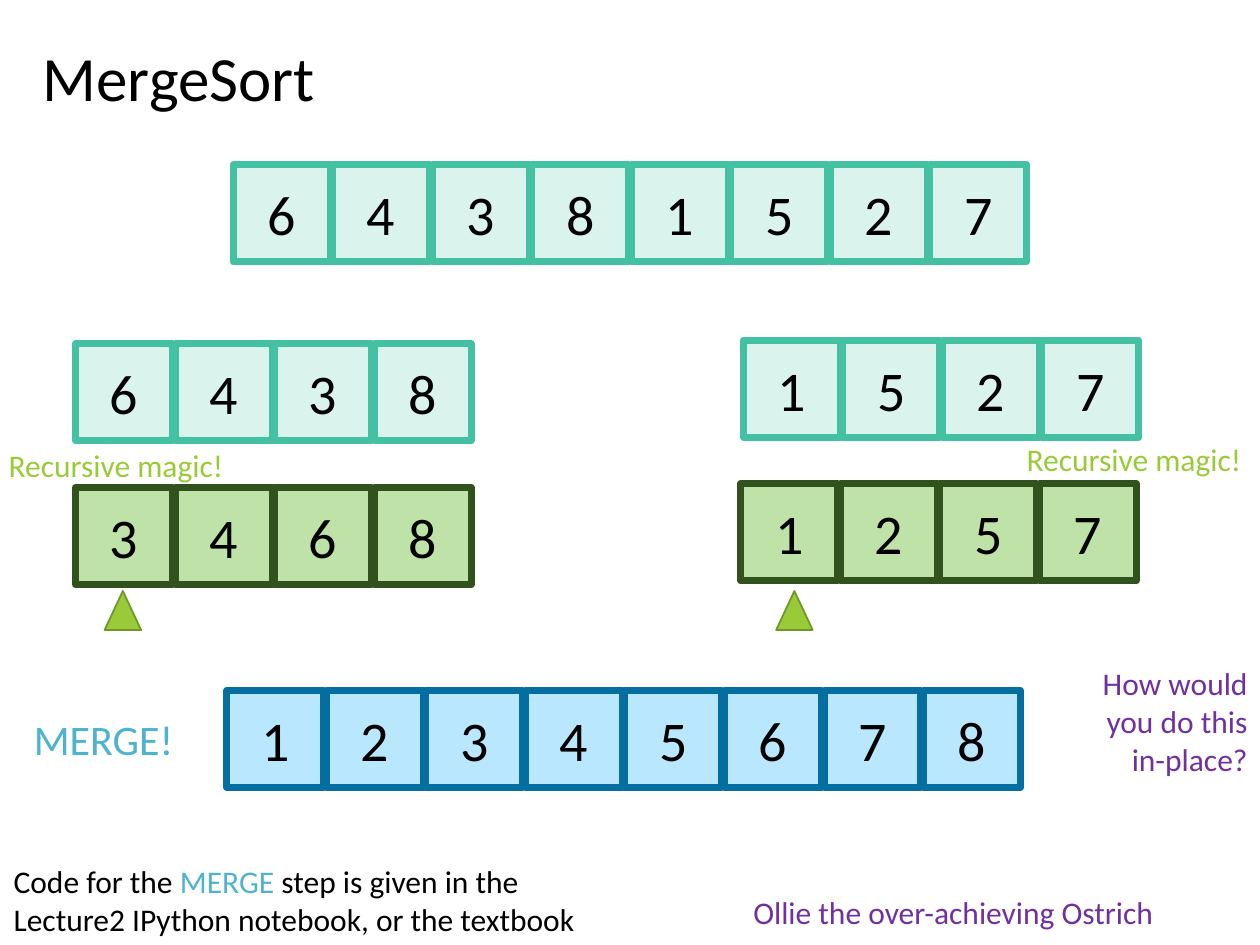
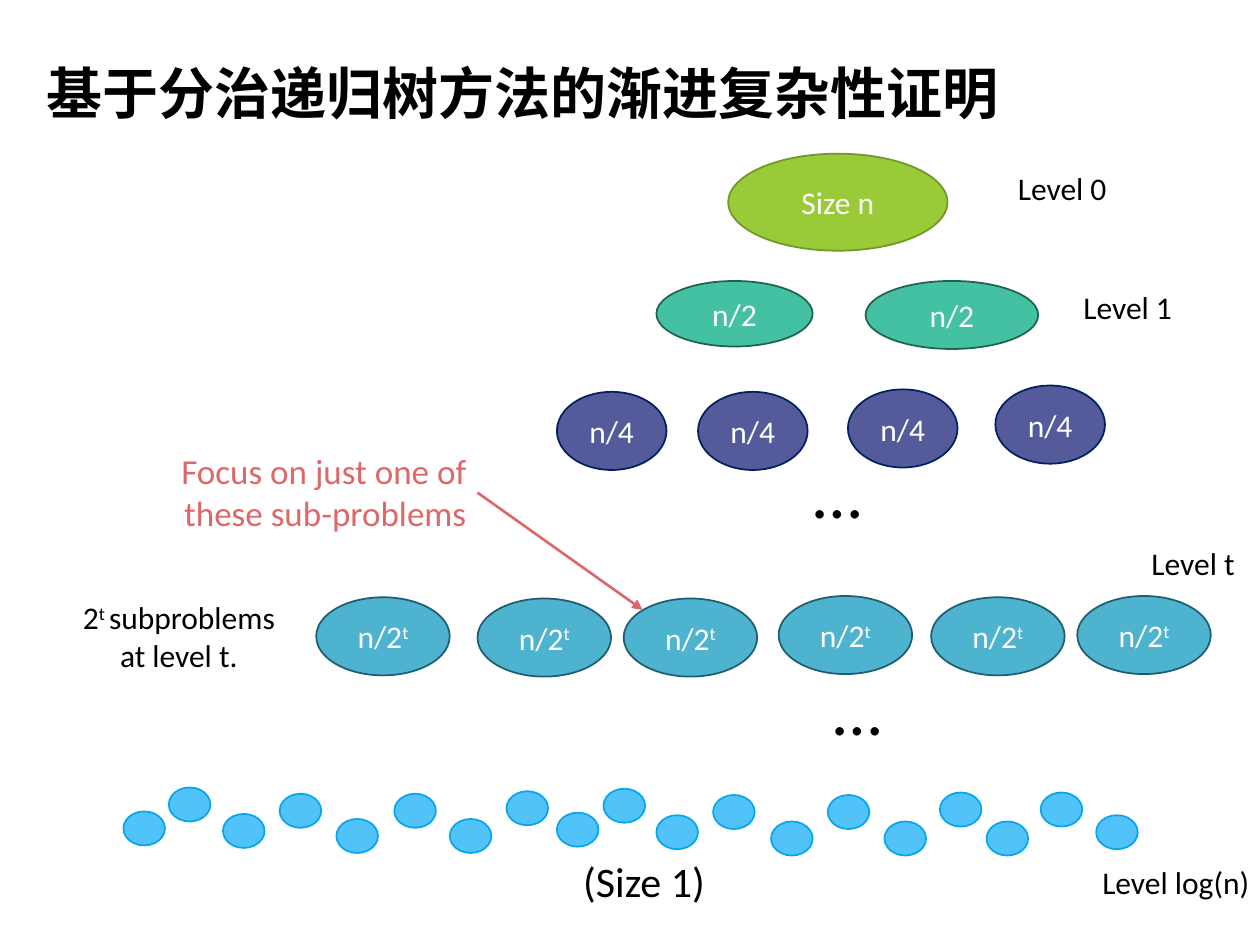
import pptx
import pptx.util
import pptx.dml.color
import pptx.enum.shapes
import pptx.enum.text
import pptx.oxml.ns
from lxml import etree

Inches, Pt = pptx.util.Inches, pptx.util.Pt
SHAPE = pptx.enum.shapes.MSO_SHAPE
ALIGN = pptx.enum.text.PP_ALIGN
ANCHOR = pptx.enum.text.MSO_ANCHOR
qn = pptx.oxml.ns.qn

FONT = "Calibri"
COLORS = {
    "black": "000000", "white": "FFFFFF", "purple": "7030A0", "red": "DE6769",
    "lime": "99CB38", "lime_edge": "719629", "teal": "44C1A3", "teal_edge": "206252",
    "mint": "DAF3ED", "leaf": "BFE2A8", "forest": "31521C", "ice": "B9E7FD",
    "ocean": "056EA0", "indigo": "555B9A", "navy": "002060", "cyan": "4EB3CF",
    "cyan_edge": "1E5E70", "sky": "51C3F9", "sky_edge": "08A5EF",
}

# Slide 1: arrays as (values, left, top, fill, line)
MERGE_TITLE = ("MergeSort", (0.24, 0.24, 8.62, 0.8), {"size": Pt(36)})
CELL, PITCH = 0.77, 0.79
ARRAYS = [
    ("64381527", 1.85, 1.31, "mint", "teal"),
    ("6438", 0.6, 2.73, "mint", "teal"),
    ("1527", 5.9, 2.7, "mint", "teal"),
    ("3468", 0.6, 3.87, "leaf", "forest"),
    ("1257", 5.88, 3.84, "leaf", "forest"),
    ("12345678", 1.8, 5.48, "ice", "ocean"),
]
POINTER_LEFTS, POINTER_TOP, POINTER_SIZE = (0.83, 6.16), 4.69, (0.29, 0.31)

# Text boxes as (runs, box, size, colour, alignment); a run is text or (text, format)
MERGE_NOTES = [
    (["Recursive magic!"], (8.05, 3.44, 1.92, 0.4), 18, "lime", ALIGN.LEFT),
    (["Recursive magic!"], (-0.03, 3.49, 1.92, 0.4), 18, "lime", ALIGN.LEFT),
    (["Code for the ", ("MERGE", {"color": "cyan"}),
      " step is given in the Lecture2 IPython notebook, or the textbook"],
     (0.01, 6.79, 4.98, 0.71), 18, "black", ALIGN.LEFT),
    (["MERGE!"], (0.17, 5.61, 1.52, 0.5), 24, "cyan", ALIGN.LEFT),
    (["How would you do this in-place?"], (8.51, 5.22, 1.49, 1.01), 18, "purple", ALIGN.RIGHT),
    (["Ollie the over-achieving Ostrich"], (5.88, 7.04, 3.79, 0.4), 18, "purple", ALIGN.LEFT),
]

# Slide 2: tree levels as (runs, fill, line, node boxes)
TREE_TITLE = ("基于分治递归树方法的渐进复杂性证明", (0.27, 0.04, 8.62, 1.45),
              {"size": Pt(32), "bold": True})
SUP = {"baseline": "30000"}
QUARTER, POWER, LEAF = (0.87, 0.62), (1.06, 0.62), (0.33, 0.27)
LEAVES = [
    (0.98, 6.44), (1.34, 6.25), (1.77, 6.46), (2.22, 6.3), (2.67, 6.5), (3.13, 6.3),
    (3.57, 6.5), (4.02, 6.28), (4.42, 6.45), (4.79, 6.26), (5.21, 6.47), (5.66, 6.31),
    (6.12, 6.52), (6.57, 6.31), (7.02, 6.52), (7.46, 6.29), (7.83, 6.52), (8.26, 6.29),
    (8.7, 6.47),
]
LEVELS = [
    (["Size n"], "lime", "lime_edge", [(5.78, 1.22, 1.74, 0.77)]),
    (["n/2"], "teal", "teal_edge", [(5.21, 2.23, 1.24, 0.52), (6.87, 2.23, 1.37, 0.54)]),
    (["n/4"], "indigo", "navy",
     [at + QUARTER for at in [(4.42, 3.11), (5.54, 3.11), (6.73, 3.09), (7.9, 3.06)]]),
    (["n/2", ("t", SUP)], "cyan", "cyan_edge",
     [at + POWER for at in [(2.51, 4.74), (3.79, 4.75), (4.95, 4.75),
                            (6.18, 4.73), (7.39, 4.74), (8.55, 4.73)]]),
    ([], "sky", "sky_edge", [at + LEAF for at in LEAVES]),
]
TREE_NOTES = [
    (["(Size 1)"], (4.53, 6.74, 1.18, 0.5), 24, "black", ALIGN.LEFT),
    (["…"], (6.36, 3.51, 0.57, 0.77), 40, "black", ALIGN.LEFT),
    (["…"], (6.52, 5.23, 0.57, 0.77), 40, "black", ALIGN.LEFT),
    (["Focus on just one of these sub-problems"], (1.02, 3.52, 2.78, 0.77), 20, "red", ALIGN.RIGHT),
    (["2", ("t ", SUP), "subproblems at level t."],
     (0.44, 4.7, 1.96, 0.71), 18, "black", ALIGN.CENTER),
    (["Level 0"], (7.98, 1.29, 1.44, 0.4), 18, "black", ALIGN.LEFT),
    (["Level 1"], (8.5, 2.24, 1.44, 0.4), 18, "black", ALIGN.LEFT),
    (["Level t"], (9.04, 4.27, 0.96, 0.4), 18, "black", ALIGN.LEFT),
    (["Level log(n)"], (8.65, 6.8, 1.44, 0.4), 18, "black", ALIGN.LEFT),
]
FOCUS_ARROW = ((3.79, 3.91), (5.1, 4.84))


def rgb(name):
    return pptx.dml.color.RGBColor.from_string(COLORS[name])


def inches(values):
    return [Inches(v) for v in values]


def write(p, runs, color, **font):
    for run in runs:
        text, extra = (run, {}) if isinstance(run, str) else run
        r = p.add_run()
        r.text = text
        for key, value in {"name": FONT, **font}.items():
            setattr(r.font, key, value)
        r.font.color.rgb = rgb(extra.get("color", color))
        if "baseline" in extra:
            r.font._element.set("baseline", extra["baseline"])


def add_slide(prs, title, box, font):
    s = prs.slides.add_slide(prs.slide_layouts[5])
    sp = s.shapes.title
    sp.left, sp.top, sp.width, sp.height = inches(box)
    tf = sp.text_frame
    tf.vertical_anchor = ANCHOR.MIDDLE
    tf.auto_size = pptx.enum.text.MSO_AUTO_SIZE.NONE
    p = tf.paragraphs[0]
    p.alignment, p.line_spacing = ALIGN.LEFT, 0.9
    write(p, [title], "black", **font)
    return s


def add_shape(s, kind, box, fill, line, width=1, runs=(), color="white", size=18):
    sp = s.shapes.add_shape(kind, *inches(box))
    sp.shadow.inherit = False
    sp.fill.solid()
    sp.fill.fore_color.rgb = rgb(fill)
    sp.line.color.rgb = rgb(line)
    sp.line.width = Pt(width)
    tf = sp.text_frame
    tf.vertical_anchor = ANCHOR.MIDDLE
    tf.paragraphs[0].alignment = ALIGN.CENTER
    write(tf.paragraphs[0], runs, color, size=Pt(size))


def add_notes(s, notes):
    for runs, box, size, color, align in notes:
        tf = s.shapes.add_textbox(*inches(box)).text_frame
        tf.word_wrap = True
        p = tf.paragraphs[0]
        p.alignment = align
        write(p, runs, color, size=Pt(size))


def add_arrow(s, start, end, color):
    cx = s.shapes.add_connector(pptx.enum.shapes.MSO_CONNECTOR.STRAIGHT, *inches(start + end))
    cx.line.color.rgb = rgb(color)
    cx.line.width = Pt(1.5)
    etree.SubElement(cx.line._get_or_add_ln(), qn("a:tailEnd"), type="triangle")
    etree.SubElement(cx._element.spPr, qn("a:effectLst"))


def build_merge_sort(prs):
    s = add_slide(prs, *MERGE_TITLE)
    for values, left, top, fill, line in ARRAYS:
        for i, value in enumerate(values):
            add_shape(s, SHAPE.RECTANGLE, (left + i * PITCH, top, CELL, CELL),
                      fill, line, 4, [value], "black", 32)
    for left in POINTER_LEFTS:
        add_shape(s, SHAPE.ISOSCELES_TRIANGLE, (left, POINTER_TOP) + POINTER_SIZE,
                  "lime", "lime_edge")
    add_notes(s, MERGE_NOTES)


def build_recursion_tree(prs):
    s = add_slide(prs, *TREE_TITLE)
    for runs, fill, line, boxes in LEVELS:
        for box in boxes:
            add_shape(s, SHAPE.OVAL, box, fill, line, runs=runs)
    add_notes(s, TREE_NOTES)
    add_arrow(s, *FOCUS_ARROW, "red")


def main():
    prs = pptx.Presentation()
    prs.slide_width, prs.slide_height = Inches(10), Inches(7.5)
    build_merge_sort(prs)
    build_recursion_tree(prs)
    prs.save("out.pptx")


if __name__ == "__main__":
    main()
